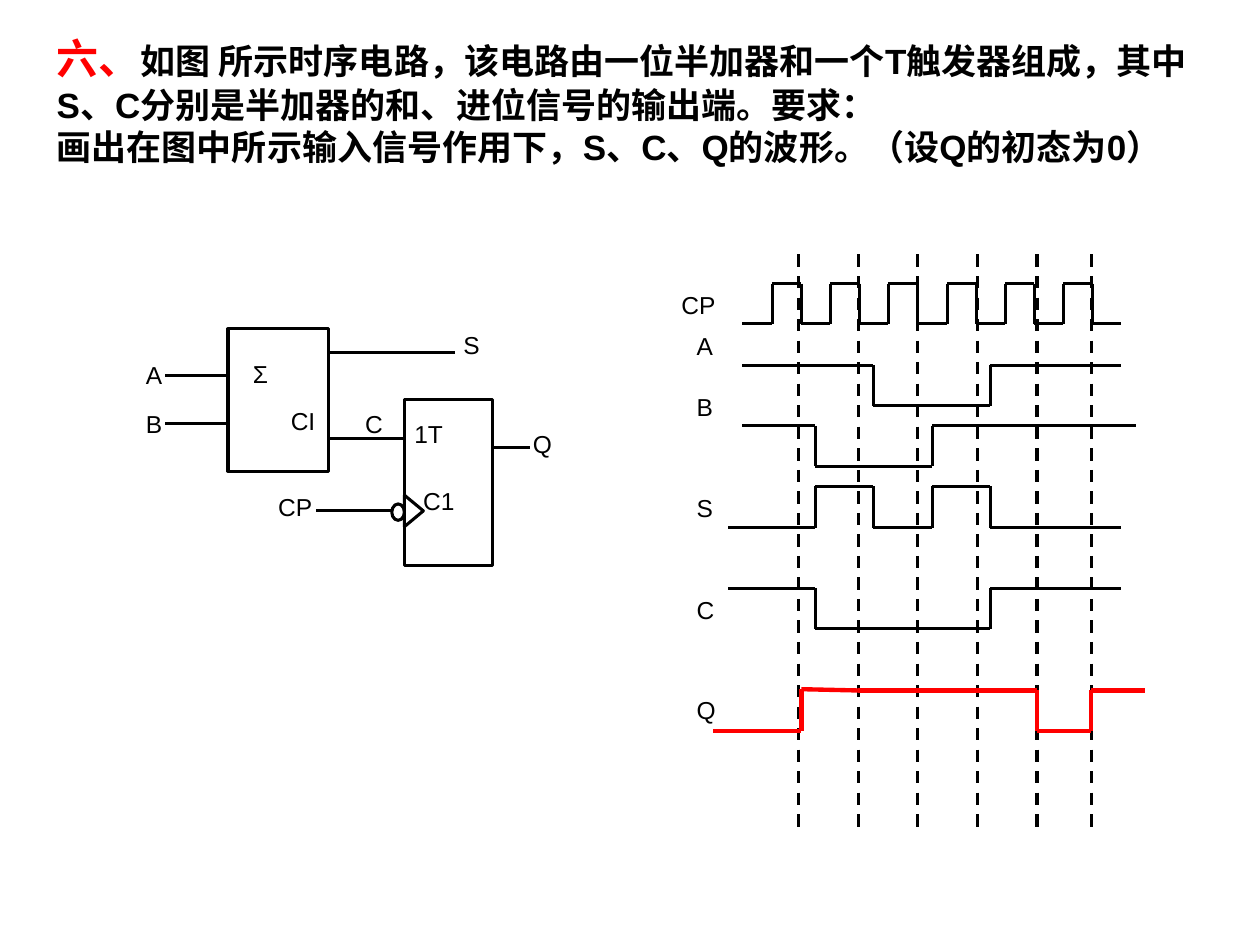
"""Build the slide with a half adder and T flip-flop exercise and its timing diagram."""
from dataclasses import dataclass
from itertools import pairwise

from lxml.etree import SubElement
from pptx import Presentation
from pptx.dml.color import RGBColor
from pptx.enum.dml import MSO_LINE
from pptx.enum.shapes import MSO_CONNECTOR, MSO_SHAPE
from pptx.enum.text import MSO_ANCHOR, MSO_AUTO_SIZE, PP_ALIGN
from pptx.oxml.ns import qn
from pptx.slide import Slide
from pptx.util import Pt

EMU_PER_PX = 9144
COLORS = {"ink": "000000", "accent": "FF0000", "paper": "FFFFFF"}
FONT = "Arial"
THIN, THICK = 1.75, 2.5

Point = tuple[int, int]


@dataclass(frozen=True)
class Label:
    text: str
    left: int
    top: int
    width: int
    height: int = 76


@dataclass(frozen=True)
class Outline:
    kind: MSO_SHAPE
    left: int
    top: int
    width: int
    height: int
    filled: bool = False
    rotation: int = 0


@dataclass(frozen=True)
class Signal:
    name: str
    label_left: int
    label_top: int
    points: list[Point]
    color: str = "ink"
    weight: float = THIN


def px(length: int) -> int:
    return length * EMU_PER_PX


def rgb(name: str) -> RGBColor:
    return RGBColor.from_string(COLORS[name])


def square_wave(start: int, end: int, first: int, second: int, edges: list[int]) -> list[Point]:
    """Return the corners of a wave that swaps between two levels at each edge."""
    points = [(start, first)]
    level, other = first, second
    for edge in edges:
        points += [(edge, level), (edge, other)]
        level, other = other, level
    return points + [(end, level)]


def draw_line(page: Slide, start: Point, end: Point, color: str = "ink",
              weight: float = THIN, dashed: bool = False) -> None:
    line = page.shapes.add_connector(MSO_CONNECTOR.STRAIGHT, *map(px, start + end))
    line.line.color.rgb = rgb(color)
    line.line.width = Pt(weight)
    if dashed:
        line.line.dash_style = MSO_LINE.DASH
    SubElement(line._element.spPr, qn("a:effectLst"))


def draw_outline(page: Slide, outline: Outline) -> None:
    shape = page.shapes.add_shape(outline.kind, px(outline.left), px(outline.top),
                                  px(outline.width), px(outline.height))
    shape.shadow.inherit = False
    shape.rotation = outline.rotation
    if outline.filled:
        shape.fill.solid()
        shape.fill.fore_color.rgb = rgb("paper")
    else:
        shape.fill.background()
    shape.line.color.rgb = rgb("ink")
    shape.line.width = Pt(THIN)


def draw_label(page: Slide, label: Label) -> None:
    box = page.shapes.add_textbox(px(label.left), px(label.top), px(label.width), px(label.height))
    box.text_frame.word_wrap = True
    para = box.text_frame.paragraphs[0]
    para.text = label.text
    para.alignment = PP_ALIGN.JUSTIFY
    para.font.name = FONT
    para.font.size = Pt(14)
    para.font.color.rgb = rgb("ink")


def draw_signal(page: Slide, signal: Signal) -> None:
    draw_label(page, Label(signal.name, signal.label_left, signal.label_top, 81, 48))
    for start, end in pairwise(signal.points):
        draw_line(page, start, end, signal.color, signal.weight)


def fill_title(page: Slide) -> None:
    title = page.shapes.title
    title.left, title.top, title.width, title.height = map(px, (35, 21, 921, 150))
    frame = title.text_frame
    frame.word_wrap = True
    frame.auto_size = MSO_AUTO_SIZE.NONE
    frame.vertical_anchor = MSO_ANCHOR.TOP
    paragraphs = [
        [("六、", 24, "accent"),
         ("如图 所示时序电路，该电路由一位半加器和一个T触发器组成，"
          "其中S、C分别是半加器的和、进位信号的输出端。要求：", 20, "ink")],
        [("画出在图中所示输入信号作用下，S、C、Q的波形。（设Q的初态为0）", 20, "ink")],
    ]
    for index, spans in enumerate(paragraphs):
        para = frame.add_paragraph() if index else frame.paragraphs[0]
        para.alignment = PP_ALIGN.LEFT
        para.font.name = FONT
        para.font.bold = True
        for text, size, color in spans:
            span = para.add_run()
            span.text = text
            span.font.size = Pt(size)
            span.font.color.rgb = rgb(color)


BLOCKS = [
    Outline(MSO_SHAPE.RECTANGLE, 181, 261, 80, 113),
    Outline(MSO_SHAPE.RECTANGLE, 321, 317, 70, 132),
]
CLOCK_WEDGE = Outline(MSO_SHAPE.ISOSCELES_TRIANGLE, 316, 398, 25, 15, True, 90)
CLOCK_BUBBLE = Outline(MSO_SHAPE.OVAL, 311, 400, 10, 13, True)
WIRES = [
    ((131, 298), (181, 298)), ((131, 336), (181, 336)), ((261, 348), (321, 348)),
    ((321, 405), (251, 405)), ((261, 280), (361, 280)), ((391, 355), (421, 355)),
]
CIRCUIT_LABELS = [
    Label("Σ", 191, 280, 110), Label("CI", 221, 317, 70), Label("A", 106, 281, 110),
    Label("B", 106, 320, 110), Label("C1", 326, 381, 70), Label("CP", 211, 386, 70),
    Label("1T", 319, 328, 70), Label("S", 358, 257, 70), Label("C", 280, 320, 70),
    Label("Q", 413, 336, 51),
]
CLOCK_EDGES = [round(613 + 23.1 * step) for step in range(12)]
INPUT_EDGES = [647, 693, 740, 786]
B_FALL, A_FALL, B_RISE, A_RISE = INPUT_EDGES
SIGNALS = [
    Signal("CP", 531, 225, square_wave(589, 890, 257, 225, CLOCK_EDGES)),
    Signal("A", 543, 258, square_wave(589, 890, 290, 322, [A_FALL, A_RISE])),
    Signal("B", 543, 306, square_wave(589, 902, 338, 370, [B_FALL, B_RISE])),
    Signal("S", 543, 386, square_wave(578, 890, 419, 386, INPUT_EDGES)),
    Signal("C", 543, 467, square_wave(578, 890, 467, 499, [B_FALL, A_RISE])),
]
GUIDES = [634, 681, 728, 776, 823, 866]
OUTPUT = Signal("Q", 543, 547, [
    (566, 580), (636, 580), (636, 547), (681, 548), (728, 548), (776, 548),
    (823, 548), (823, 580), (866, 580), (866, 548), (909, 548),
], "accent", THICK)


def main() -> None:
    deck = Presentation()
    deck.slide_width, deck.slide_height = px(1000), px(750)
    page = deck.slides.add_slide(deck.slide_layouts[5])
    fill_title(page)
    for block in BLOCKS:
        draw_outline(page, block)
    for label in CIRCUIT_LABELS:
        draw_label(page, label)
    draw_outline(page, CLOCK_WEDGE)
    for start, end in WIRES:
        draw_line(page, start, end)
    draw_outline(page, CLOCK_BUBBLE)
    for signal in SIGNALS:
        draw_signal(page, signal)
    for guide in GUIDES:
        draw_line(page, (guide, 202), (guide, 659), dashed=True)
    draw_signal(page, OUTPUT)
    deck.save("out.pptx")


if __name__ == "__main__":
    main()
